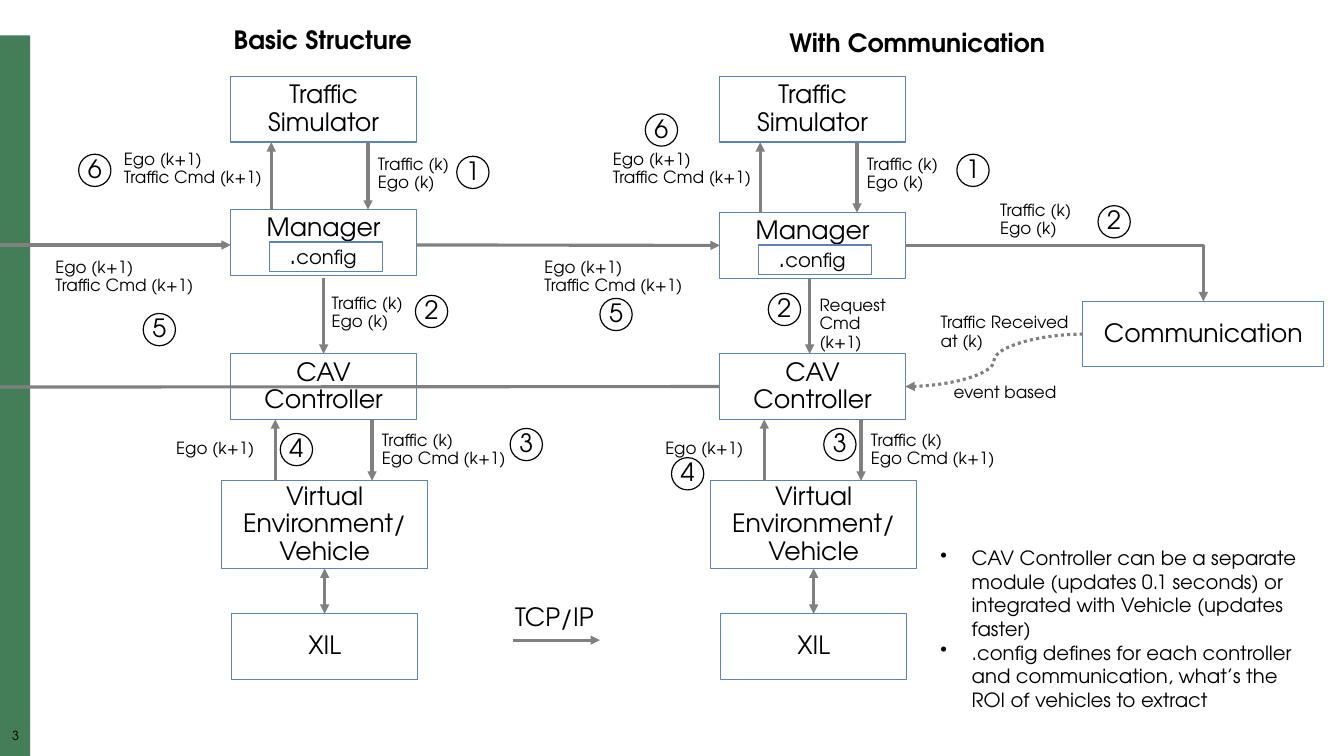
from dataclasses import dataclass
from typing import Optional

import pptx
import pptx.dml.color
import pptx.enum.dml
import pptx.enum.shapes
import pptx.enum.text
import pptx.oxml
import pptx.oxml.ns
import pptx.util

PX = 9144  # EMU in one px, at 100 px to the inch
FONT = "TeX Gyre Adventor"
COLORS = {"bar": "447E59", "box": "FFFFFF", "border": "5785B7", "text": "000000", "arrow": "808080"}
COLUMN_GAP = 485
LEFT, RIGHT = 0, COLUMN_GAP
TOP_SIDE, LEFT_SIDE, BOTTOM_SIDE, RIGHT_SIDE = range(4)
CIRCLE_SIZE = 32

SHAPE = pptx.enum.shapes.MSO_SHAPE
CONNECTOR = pptx.enum.shapes.MSO_CONNECTOR
ALIGN = pptx.enum.text.PP_ALIGN
ANCHOR = pptx.enum.text.MSO_ANCHOR


@dataclass
class Box:
    name: str
    left: int
    top: int
    width: int
    height: int
    text: str


@dataclass
class Label:
    left: int
    top: int
    width: int
    lines: tuple[str, ...]
    size: int = 12
    bold: bool = False
    wrap: bool = True
    height: int = 46


@dataclass
class Circle:
    left: int
    top: int
    number: str


@dataclass
class Arrow:
    x1: int
    y1: int
    x2: int
    y2: int
    start: Optional[tuple] = None
    end: Optional[tuple] = None
    kind: CONNECTOR = CONNECTOR.STRAIGHT
    head: bool = False
    tail: bool = True


def color(name: str) -> pptx.dml.color.RGBColor:
    return pptx.dml.color.RGBColor.from_string(COLORS[name])


def add_run(paragraph, text: str, size: int, bold: bool = False) -> None:
    run = paragraph.add_run()
    run.text = text
    run.font.name = FONT
    run.font.size = pptx.util.Pt(size)
    run.font.bold = bold
    run.font.color.rgb = color("text")


def set_frame(frame, inset_x: int, inset_y: int, anchor: ANCHOR, wrap: bool = True) -> None:
    frame.word_wrap = wrap
    frame.vertical_anchor = anchor
    frame.margin_left = frame.margin_right = inset_x * PX
    frame.margin_top = frame.margin_bottom = inset_y * PX


def add_outlined(slide, kind: SHAPE, left: int, top: int, width: int, height: int, fill: str, border: str):
    shape = slide.shapes.add_shape(kind, left * PX, top * PX, width * PX, height * PX)
    shape.shadow.inherit = False
    shape.fill.solid()
    shape.fill.fore_color.rgb = color(fill)
    shape.line.color.rgb = color(border)
    shape.line.width = pptx.util.Pt(0.85)
    return shape


def add_box(slide, box: Box, shift: int = 0):
    shape = add_outlined(slide, SHAPE.RECTANGLE, box.left + shift, box.top, box.width, box.height, "box", "border")
    set_frame(shape.text_frame, 20, 0, ANCHOR.MIDDLE)
    paragraph = shape.text_frame.paragraphs[0]
    paragraph.alignment = ALIGN.CENTER
    paragraph.line_spacing = 0.9
    add_run(paragraph, box.text, 18)
    return shape


def add_manager(slide, left: int, top: int):
    manager = add_box(slide, Box("manager", left, top, 184, 65, "Manager"))
    set_frame(manager.text_frame, 20, 5, ANCHOR.TOP)
    config = add_box(slide, Box("config", left + 38, top + 32, 112, 29, "."))
    paragraph = config.text_frame.paragraphs[0]
    paragraph.alignment = ALIGN.LEFT
    add_run(paragraph, "config", 14)
    return manager


def add_circle(slide, circle: Circle) -> None:
    shape = add_outlined(slide, SHAPE.OVAL, circle.left, circle.top, CIRCLE_SIZE, CIRCLE_SIZE, "box", "text")
    set_frame(shape.text_frame, 0, 0, ANCHOR.MIDDLE, wrap=False)
    paragraph = shape.text_frame.paragraphs[0]
    paragraph.alignment = ALIGN.CENTER
    paragraph.line_spacing = 0.9
    add_run(paragraph, circle.number, 18)


def add_label(slide, label: Label, shift: int = 0, bullets: bool = False, inset: int = 10):
    shape = slide.shapes.add_textbox((label.left + shift) * PX, label.top * PX, label.width * PX, label.height * PX)
    frame = shape.text_frame
    set_frame(frame, inset, inset // 2, ANCHOR.TOP, label.wrap)
    for index, line in enumerate(label.lines):
        paragraph = frame.add_paragraph() if index else frame.paragraphs[0]
        paragraph.line_spacing = 1.0 if bullets else 0.9
        if bullets:
            properties = paragraph._p.get_or_add_pPr()
            properties.set("marL", str(31 * PX))
            properties.set("indent", str(-31 * PX))
            bullet = pptx.oxml.parse_xml(f'<a:buChar {pptx.oxml.ns.nsdecls("a")} char="•"/>')
            properties.append(bullet)
        add_run(paragraph, line, label.size, label.bold)
    return shape


def add_arrow(slide, arrow: Arrow):
    ends = (arrow.x1, arrow.y1, arrow.x2, arrow.y2)
    connector = slide.shapes.add_connector(arrow.kind, *(value * PX for value in ends))
    if arrow.start:
        connector.begin_connect(*arrow.start)
    if arrow.end:
        connector.end_connect(*arrow.end)
    connector.line.color.rgb = color("arrow")
    connector.line.width = pptx.util.Pt(2.25)
    if arrow.kind == CONNECTOR.CURVE:
        connector.line.dash_style = pptx.enum.dml.MSO_LINE.ROUND_DOT
    namespace = pptx.oxml.ns.nsdecls("a")
    line = connector.line._get_or_add_ln()
    for tag, shown in (("headEnd", arrow.head), ("tailEnd", arrow.tail)):
        if shown:
            line.append(pptx.oxml.parse_xml(f'<a:{tag} {namespace} type="triangle"/>'))
    properties = connector._element.spPr
    properties.append(pptx.oxml.parse_xml(f"<a:effectLst {namespace}/>"))
    if arrow.kind == CONNECTOR.ELBOW:
        properties.find(pptx.oxml.ns.qn("a:prstGeom")).set("prst", "bentConnector2")
    return connector


TRAFFIC_EGO = ("Traffic (k)", "Ego (k)")
EGO_COMMAND = ("Ego (k+1)", "Traffic Cmd (k+1)")

COLUMN_BOXES = [
    Box("simulator", 229, 76, 184, 65, "Traffic Simulator"),
    Box("controller", 229, 351, 184, 65, "CAV Controller"),
    Box("vehicle", 220, 477, 204, 87, "Virtual Environment/Vehicle"),
    Box("xil", 230, 609, 184, 65, "XIL"),
]
COLUMN_LABELS = [
    Label(365, 150, 99, TRAFFIC_EGO),
    Label(369, 424, 154, ("Traffic (k)", "Ego Cmd (k+1)")),
    Label(165, 432, 154, ("Ego (k+1)",), height=28),
    Label(45, 252, 159, EGO_COMMAND),
    Label(113, 145, 159, EGO_COMMAND),
]
SINGLE_LABELS = [
    Label(319, 288, 99, TRAFFIC_EGO),
    Label(982, 195, 99, TRAFFIC_EGO),
    Label(803, 290, 106, ("Request", "Cmd (k+1)")),
    Label(923, 307, 155, ("Traffic Received at (k)",)),
    Label(936, 376, 145, ("event based",), height=28),
    Label(222, 23, 207, ("Basic Structure",), 18, True, height=37),
    Label(773, 26, 284, ("With Communication",), 18, True, height=37),
    Label(501, 595, 98, ("TCP/IP",), 18, wrap=False, height=40),
]
NOTES = Label(923, 537, 386, (
    "CAV Controller can be a separate module (updates 0.1 seconds) or integrated with Vehicle (updates faster)",
    ".config defines for each controller and communication, what’s the ROI of vehicles to extract",
), 14, height=175)
CIRCLES = [
    Circle(453, 155, "1"), Circle(412, 293, "2"), Circle(506, 425, "3"),
    Circle(278, 430, "4"), Circle(142, 311, "5"), Circle(78, 153, "6"),
    Circle(949, 153, "1"), Circle(762, 291, "2"), Circle(1089, 204, "2"), Circle(817, 425, "3"),
    Circle(666, 454, "4"), Circle(595, 296, "5"), Circle(640, 113, "6"),
]


def main() -> None:
    presentation = pptx.Presentation()
    presentation.slide_width, presentation.slide_height = 1333 * PX, 750 * PX
    slide = presentation.slides.add_slide(presentation.slide_layouts[6])

    # Side bar and page number
    bar = add_outlined(slide, SHAPE.RECTANGLE, 0, 35, 30, 715, "bar", "bar")
    bar.line.fill.background()
    page = add_label(slide, Label(0, 724, 31, ("3",), 9, height=17), inset=0)
    page.text_frame.paragraphs[0].alignment = ALIGN.CENTER

    # Two columns of boxes with their own arrows and labels
    managers, columns = {}, {}
    for shift, manager_top in ((LEFT, 208), (RIGHT, 211)):
        boxes = columns[shift] = {box.name: add_box(slide, box, shift) for box in COLUMN_BOXES}
        managers[shift] = add_manager(slide, 229 + shift, manager_top)
        for x, y1, y2 in ((365, 141, manager_top), (269, manager_top, 141), (369, 416, 477), (273, 477, 416)):
            add_arrow(slide, Arrow(x + shift, y1, x + shift, y2))
        add_arrow(slide, Arrow(322 + shift, 564, 322 + shift, 609, (boxes["vehicle"], BOTTOM_SIDE),
                               (boxes["xil"], TOP_SIDE), head=True))
        for label in COLUMN_LABELS:
            add_label(slide, label, shift)
    communication = add_box(slide, Box("communication", 1074, 299, 239, 65, "Communication"))

    # Arrows between the parts
    controller = columns[RIGHT]["controller"]
    arrows = [
        Arrow(0, 243, 229, 243),
        Arrow(413, 243, 714, 243, end=(managers[RIGHT], LEFT_SIDE)),
        Arrow(714, 384, 0, 384, start=(controller, LEFT_SIDE), tail=False),
        Arrow(321, 276, 321, 351, end=(columns[LEFT]["controller"], TOP_SIDE)),
        Arrow(803, 276, 803, 351),
        Arrow(898, 243, 1193, 299, (managers[RIGHT], RIGHT_SIDE), (communication, TOP_SIDE), CONNECTOR.ELBOW),
        Arrow(1074, 331, 898, 384, (communication, LEFT_SIDE), (controller, RIGHT_SIDE), CONNECTOR.CURVE),
        Arrow(509, 635, 595, 635),
    ]
    for arrow in arrows:
        add_arrow(slide, arrow)

    # Remaining labels, notes and step numbers
    for label in SINGLE_LABELS:
        add_label(slide, label)
    add_label(slide, NOTES, bullets=True)
    for circle in CIRCLES:
        add_circle(slide, circle)

    presentation.save("out.pptx")


if __name__ == "__main__":
    main()
